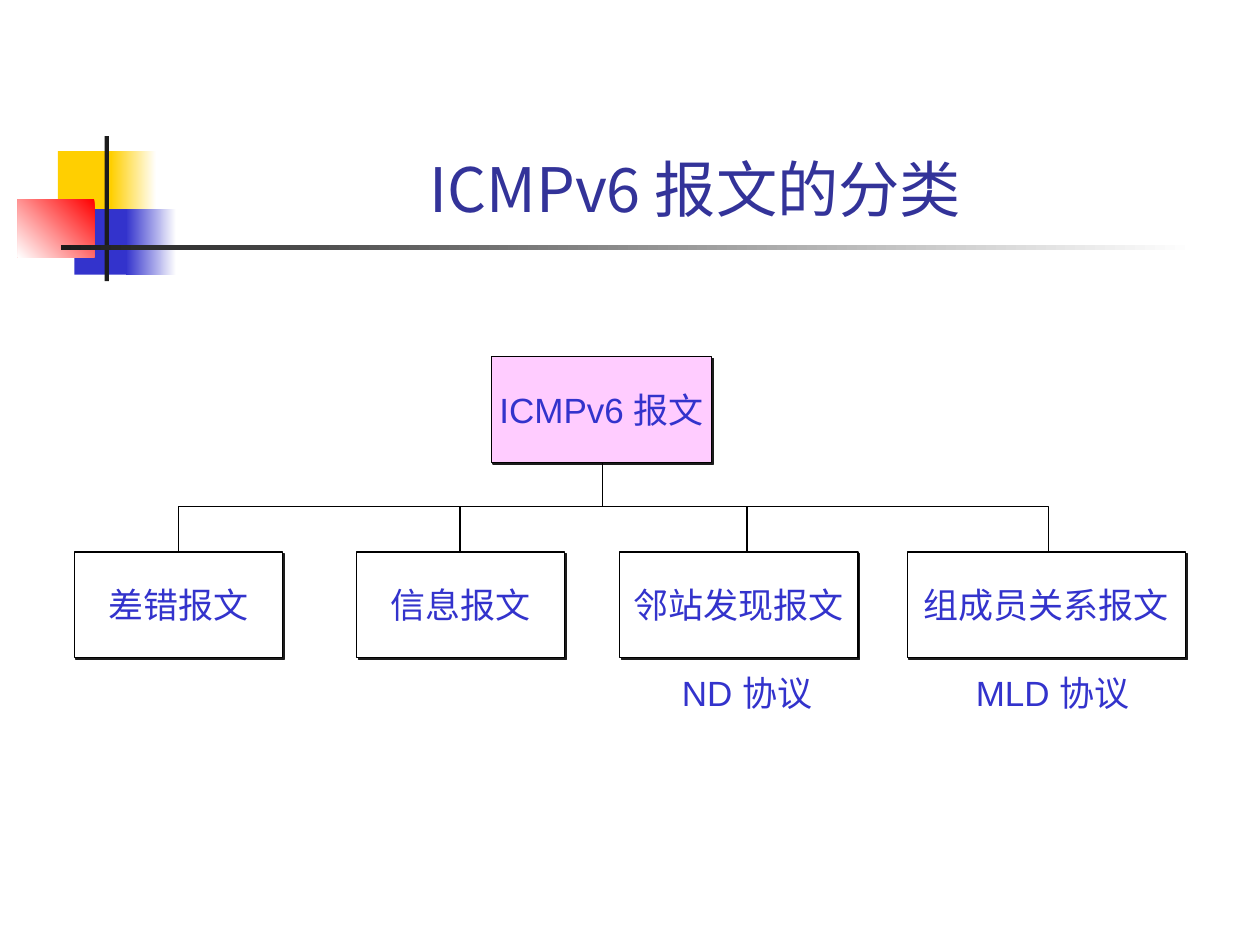
from dataclasses import dataclass

from lxml import etree
from pptx import Presentation
from pptx.dml.color import RGBColor
from pptx.enum import shapes, text
from pptx.oxml import ns
from pptx.util import Pt

COLORS = {
    "yellow": "FFCF01", "blue": "3333CC", "red": "FF0000", "dark": "1C1C1C",
    "white": "FFFFFF", "pink": "FFCCFF", "black": "000000", "title": "333399",
}
NODE_HEIGHT, ROOT_TOP, BUS_TOP, LEAF_TOP, CAPTION_TOP = 60.5, 203.8, 289.4, 315.4, 380.2
ROOT_STEM = 344.2


@dataclass
class Ornament:
    left: float
    top: float
    width: float
    height: float
    color: str
    fade_to: str = ""
    angle: float = 180


@dataclass
class Node:
    label: str
    left: float
    top: float
    width: float
    stem: float
    color: str = "white"


@dataclass
class Caption:
    label: str
    left: float
    width: float


ORNAMENTS = [
    Ornament(33.1, 86.4, 34.6, 37.4, "yellow"),
    Ornament(63.4, 86.4, 25.9, 37.4, "white", "yellow"),
    Ornament(42.5, 119.5, 33.1, 37.4, "blue"),
    Ornament(72, 119.5, 28.8, 37.4, "white", "blue"),
    Ornament(10.1, 113.8, 43.9, 33.1, "red", "white", 225),
    Ornament(59.8, 77.8, 2.4, 82.8, "dark"),
    Ornament(34.8, 140.2, 648, 2.4, "white", "dark"),
]
ROOT = Node("ICMPv6 报文", 280.8, ROOT_TOP, 126, ROOT_STEM, "pink")
LEAVES = [
    Node("差错报文", 42.5, LEAF_TOP, 118.8, 102.2),
    Node("信息报文", 203.8, LEAF_TOP, 118.8, 262.8),
    Node("邻站发现报文", 354.2, LEAF_TOP, 136.1, 426.8),
    Node("组成员关系报文", 518.4, LEAF_TOP, 159.1, 599),
]
CAPTIONS = [Caption("ND 协议", 380.2, 93.6), Caption("MLD 协议", 547.9, 107.3)]


def rgb(name: str) -> RGBColor:
    return RGBColor.from_string(COLORS[name])


def draw_ornament(slide, item: Ornament) -> None:
    block = slide.shapes.add_shape(
        shapes.MSO_SHAPE.RECTANGLE, Pt(item.left), Pt(item.top), Pt(item.width), Pt(item.height))
    block.shadow.inherit = False
    block.line.fill.background()
    if item.fade_to:
        block.fill.gradient()
        block.fill.gradient_angle = item.angle
        for stop, color in zip(block.fill.gradient_stops, (item.color, item.fade_to)):
            stop.color.rgb = rgb(color)
    else:
        block.fill.solid()
        block.fill.fore_color.rgb = rgb(item.color)


def write(frame, words: str, size: float, font: str, color: str, anchor, wrap: bool) -> None:
    frame.word_wrap = wrap
    frame.vertical_anchor = anchor
    paragraph = frame.paragraphs[0]
    paragraph.text = words
    paragraph.alignment = text.PP_ALIGN.CENTER
    paragraph.font.size = Pt(size)
    paragraph.font.name = font
    paragraph.font.color.rgb = rgb(color)


def outline(line) -> None:
    line.color.rgb = rgb("black")
    line.width = Pt(0.75)


def cast_shadow(shape) -> None:
    shape.shadow.inherit = False
    effects = shape._element.spPr.find(ns.qn("a:effectLst"))
    shadow = etree.SubElement(
        effects, ns.qn("a:outerShdw"), dist=str(Pt(1.4)), dir="2700000", algn="ctr", rotWithShape="0")
    etree.SubElement(shadow, ns.qn("a:srgbClr"), val=COLORS["dark"])


def draw_node(slide, node: Node) -> None:
    box = slide.shapes.add_shape(
        shapes.MSO_SHAPE.RECTANGLE, Pt(node.left), Pt(node.top), Pt(node.width), Pt(NODE_HEIGHT))
    box.fill.solid()
    box.fill.fore_color.rgb = rgb(node.color)
    outline(box.line)
    cast_shadow(box)
    write(box.text_frame, node.label, 20, "Arial", "blue", text.MSO_ANCHOR.MIDDLE, False)


def draw_stem(slide, x: float, top: float, bottom: float) -> None:
    stem = slide.shapes.add_connector(
        shapes.MSO_CONNECTOR.STRAIGHT, Pt(x), Pt(top), Pt(x), Pt(bottom))
    outline(stem.line)
    etree.SubElement(stem._element.spPr, ns.qn("a:effectLst"))


def draw_bracket(slide, left: float, right: float) -> None:
    builder = slide.shapes.build_freeform(Pt(left), Pt(LEAF_TOP))
    corners = [(left, BUS_TOP), (right, BUS_TOP), (right, LEAF_TOP)]
    builder.add_line_segments([(Pt(x), Pt(y)) for x, y in corners], close=False)
    bracket = builder.convert_to_shape()
    bracket.fill.background()
    bracket.shadow.inherit = False
    outline(bracket.line)


def draw_caption(slide, caption: Caption) -> None:
    box = slide.shapes.add_textbox(Pt(caption.left), Pt(CAPTION_TOP), Pt(caption.width), Pt(31.7))
    write(box.text_frame, caption.label, 20, "Arial", "blue", text.MSO_ANCHOR.TOP, False)
    box.text_frame.auto_size = text.MSO_AUTO_SIZE.SHAPE_TO_FIT_TEXT


def main() -> None:
    """Build the slide that classifies ICMPv6 messages."""
    deck = Presentation()
    deck.slide_width, deck.slide_height = Pt(720), Pt(540)
    slide = deck.slides.add_slide(deck.slide_layouts[6])
    for item in ORNAMENTS:
        draw_ornament(slide, item)
    title = slide.shapes.add_textbox(Pt(90.7), Pt(16.6), Pt(613.4), Pt(115.2))
    write(title.text_frame, "ICMPv6 报文的分类", 35, "Noto Sans CJK SC", "title",
          text.MSO_ANCHOR.BOTTOM, True)
    for node in [ROOT, *LEAVES]:
        draw_node(slide, node)
    first, *inner, last = LEAVES
    draw_bracket(slide, first.stem, last.stem)
    for leaf in inner:
        draw_stem(slide, leaf.stem, BUS_TOP, LEAF_TOP)
    draw_stem(slide, ROOT.stem, ROOT_TOP + NODE_HEIGHT, BUS_TOP)
    for caption in CAPTIONS:
        draw_caption(slide, caption)
    deck.save("out.pptx")


if __name__ == "__main__":
    main()
